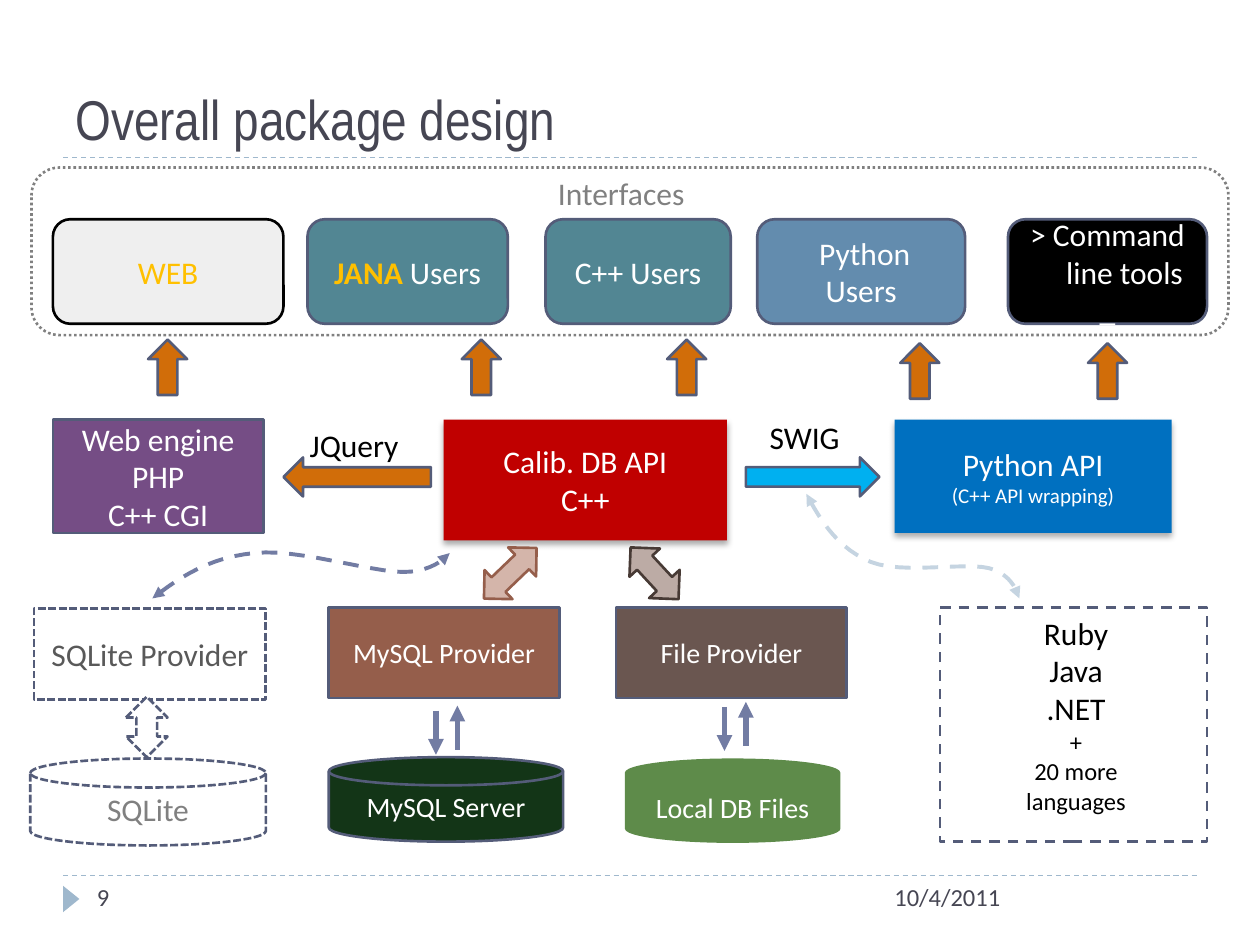
from dataclasses import dataclass
from typing import NamedTuple, Optional

from lxml import etree
from pptx import Presentation, util as u
from pptx.dml.color import RGBColor
from pptx.enum import dml, shapes, text
from pptx.oxml.ns import qn

# Grid: 100 columns by 75 rows of square cells
W, H = u.Inches(10), u.Inches(7.5)
COL, ROW = W / 100, H / 75

WHITE = RGBColor(0xFF, 0xFF, 0xFF)
BLACK = RGBColor(0, 0, 0)
INK = RGBColor(0x46, 0x46, 0x53)
GRAY = RGBColor(0x80, 0x80, 0x80)
DARK_GRAY = RGBColor(0x59, 0x59, 0x59)
PALE = RGBColor(0xEF, 0xEF, 0xEF)
EDGE = RGBColor(0x54, 0x5C, 0x79)
ACCENT = RGBColor(0x9F, 0xB8, 0xCD)
FLOW = RGBColor(0x72, 0x7C, 0xA3)
PALE_FLOW = RGBColor(0xC5, 0xD4, 0xE1)
GOLD = RGBColor(0xFF, 0xC0, 0x00)
TEAL = RGBColor(0x52, 0x86, 0x93)
STEEL = RGBColor(0x63, 0x8C, 0xAE)
BLUE = RGBColor(0x00, 0x70, 0xC0)
SKY = RGBColor(0x00, 0xB0, 0xF0)
PURPLE = RGBColor(0x75, 0x4D, 0x85)
RED = RGBColor(0xC0, 0, 0)
ORANGE = RGBColor(0xD1, 0x6D, 0x09)
BROWN = RGBColor(0x95, 0x5E, 0x4B)
UMBER = RGBColor(0x6A, 0x56, 0x50)
PALE_BROWN = RGBColor(0xD4, 0xB5, 0xAA)
PALE_UMBER = RGBColor(0xBC, 0xAB, 0xA5)
DARK_UMBER = RGBColor(0x47, 0x3A, 0x35)
FOREST = RGBColor(0x13, 0x35, 0x17)
GREEN = RGBColor(0x5E, 0x8B, 0x4A)

S, D = shapes.MSO_SHAPE, dml.MSO_LINE
LEFT, CENTER = text.PP_ALIGN.LEFT, text.PP_ALIGN.CENTER
TOP, MIDDLE, BOTTOM = (text.MSO_ANCHOR.TOP, text.MSO_ANCHOR.MIDDLE,
                       text.MSO_ANCHOR.BOTTOM)


class Run(NamedTuple):
    text: str
    color: RGBColor = WHITE
    size: float = 18
    bold: bool = False
    font: str = "Calibri"
    indent: float = 0  # columns, taken from the first run of a line


@dataclass
class Block:
    kind: S
    x: float
    y: float
    w: float
    h: float
    fill: Optional[RGBColor] = None
    line: Optional[RGBColor] = EDGE
    lines: tuple = ()  # each line is a tuple of runs
    dash: Optional[D] = None
    rot: float = 0
    shadow: bool = False


def one(*args, **kw) -> tuple:
    """A single line holding a single run."""
    return ((Run(*args, **kw),),)


def stack(size: float, color: RGBColor, *words: str) -> tuple:
    return tuple((Run(word, color, size),) for word in words)


def write(tf, lines: tuple, align, anchor) -> None:
    tf.vertical_anchor = anchor
    for i, line in enumerate(lines):
        p = tf.paragraphs[0] if i == 0 else tf.add_paragraph()
        p.alignment = align
        if line[0].indent:
            p._p.get_or_add_pPr().set("marL", str(round(line[0].indent * COL)))
        for run in line:
            r = p.add_run()
            r.text = run.text
            r.font.name, r.font.size, r.font.bold = run.font, u.Pt(run.size), run.bold
            r.font.color.rgb = run.color


def place(x: float, y: float, w: float, h: float) -> list[int]:
    return [round(v) for v in (x * COL, y * ROW, w * COL, h * ROW)]


def stroke(line, color: RGBColor, width: float, dash=None, heads=()) -> None:
    line.color.rgb, line.width = color, u.Pt(width)
    if dash is not None:
        line.dash_style = dash
    for end in heads:
        etree.SubElement(line._get_or_add_ln(), qn("a:" + end), type="triangle")


def draw_block(s, b: Block) -> None:
    sp = s.shapes.add_shape(b.kind, *place(b.x, b.y, b.w, b.h))
    sp.rotation = b.rot
    sp.shadow.inherit = False
    if b.shadow:
        effects = sp._element.spPr.find(qn("a:effectLst"))
        shade = etree.SubElement(effects, qn("a:outerShdw"), blurRad=str(u.Pt(3.5)),
                                 dist=str(u.Pt(2.2)), dir="5400000", rotWithShape="0")
        clr = etree.SubElement(shade, qn("a:srgbClr"), val="000000")
        etree.SubElement(clr, qn("a:alpha"), val="32000")
    if b.fill is None:
        sp.fill.background()
    else:
        sp.fill.solid()
        sp.fill.fore_color.rgb = b.fill
    if b.line is None:
        sp.line.fill.background()
    else:
        stroke(sp.line, b.line, 1.5, b.dash)
    write(sp.text_frame, b.lines, CENTER, MIDDLE)


def draw_label(s, x, y, w, h, lines, align=LEFT, anchor=TOP, wrap=True) -> None:
    tf = s.shapes.add_textbox(*place(x, y, w, h)).text_frame
    tf.word_wrap = wrap
    write(tf, lines, align, anchor)


def draw_line(s, x1, y1, x2, y2, color, width, dash=None, heads=()) -> None:
    cx = s.shapes.add_connector(shapes.MSO_CONNECTOR.STRAIGHT,
                                *place(x1, y1, x2, y2))
    stroke(cx.line, color, width, dash, heads)
    etree.SubElement(cx._element.spPr, qn("a:effectLst"))


def draw_curve(s, knots: list, color: RGBColor, steps: int = 12) -> None:
    """Chain of cubic curves: a start point, then three points per curve."""
    points = []
    for k in range(0, len(knots) - 1, 3):
        for i in range(1, steps + 1):
            t = i / steps
            weights = ((1 - t) ** 3, 3 * t * (1 - t) ** 2, 3 * t * t * (1 - t), t ** 3)
            points.append(tuple(
                sum(wt * pt[axis] for wt, pt in zip(weights, knots[k:k + 4])) * unit
                for axis, unit in ((0, COL), (1, ROW))))
    fb = s.shapes.build_freeform(knots[0][0] * COL, knots[0][1] * ROW)
    fb.add_line_segments(points, close=False)
    sp = fb.convert_to_shape()
    sp.shadow.inherit = False
    sp.fill.background()
    stroke(sp.line, color, 2.25, D.DASH, ("headEnd", "tailEnd"))


def main() -> None:
    prs = Presentation()
    prs.slide_width, prs.slide_height = W, H
    s = prs.slides.add_slide(prs.slide_layouts[6])

    # Title, rules and footer
    for y in (69.5, 12.5):
        draw_line(s, 5, y, 95, y, ACCENT, 0.75, D.DASH)
    draw_block(s, Block(S.ISOSCELES_TRIANGLE, 4.6, 70.7, 2.1, 1.3, ACCENT, None, rot=90))
    draw_label(s, 5, 1.7, 90, 10.8,
               one("Overall package design", INK, 32, font="Arial Narrow"), anchor=BOTTOM)
    draw_label(s, 70, 69.5, 25, 4, one("10/4/2011", INK, 14))
    draw_label(s, 6.7, 69.5, 21.7, 4, one("9", INK, 14))

    # Interfaces
    draw_block(s, Block(S.ROUNDED_RECTANGLE, 2.5, 13.3, 95, 13.3, None, GRAY,
                        dash=D.ROUND_DOT))
    draw_label(s, 43.3, 13.3, 12.2, 4, one("Interfaces", GRAY), wrap=False)
    command = ((Run("> Command"),), (Run("line tools", indent=2.7),), (Run("_"),))
    for x, w, fill, line, lines in (
            (4.2, 18.3, PALE, BLACK, one("WEB", GOLD)),
            (24.4, 15.9, TEAL, EDGE, ((Run("JANA", GOLD, bold=True), Run(" Users")),)),
            (43.3, 14.7, TEAL, EDGE, one("C++ Users")),
            (60.1, 16.5, STEEL, EDGE, one(" Python Users")),
            (80, 15.8, BLACK, EDGE, command)):
        draw_block(s, Block(S.ROUNDED_RECTANGLE, x, 17.4, w, 8.3, fill, line, lines))
    for x, y in ((11.1, 27.6), (36, 27.6), (52.3, 27.6), (70.8, 27.9), (85.7, 27.9)):
        draw_block(s, Block(S.RIGHT_ARROW, x, y, 4.4, 3.1, ORANGE, rot=270))

    # Engines and APIs
    blocks = [
        Block(S.RECTANGLE, 4.2, 33.3, 16.7, 9, PURPLE,
              lines=stack(18, WHITE, "Web engine", "PHP", "C++ CGI")),
        Block(S.RECTANGLE, 35.2, 33.3, 22.5, 9.6, RED, None,
              stack(18, WHITE, "Calib. DB API", "C++"), shadow=True),
        Block(S.RECTANGLE, 71, 33.3, 22, 9, BLUE, None,
              one("Python API") + one("(C++ API wrapping)", size=12), shadow=True),
        Block(S.RIGHT_ARROW, 22.5, 36.3, 11.7, 3.1, ORANGE, rot=180),
        Block(S.RIGHT_ARROW, 59.2, 36.3, 10.6, 3.1, SKY),
        # Providers and their storage
        Block(S.RECTANGLE, 2.7, 48.3, 18.4, 7.2, WHITE,
              lines=one("SQLite Provider", DARK_GRAY), dash=D.SQUARE_DOT),
        Block(S.FLOWCHART_MAGNETIC_DISK, 2.4, 60.2, 18.7, 6.9, WHITE,
              lines=one("SQLite", GRAY), dash=D.SQUARE_DOT),
        Block(S.UP_DOWN_ARROW, 10, 55.3, 3.3, 4.8, WHITE, dash=D.SQUARE_DOT),
        Block(S.RECTANGLE, 26.1, 48.2, 18.3, 7.2, BROWN, lines=one("MySQL Provider", size=16)),
        Block(S.RECTANGLE, 48.9, 48.2, 18.3, 7.2, UMBER, lines=one("File Provider", size=16)),
        Block(S.FLOWCHART_MAGNETIC_DISK, 26.1, 60.1, 18.6, 6.7, FOREST,
              lines=one("MySQL Server", size=16)),
        Block(S.FLOWCHART_MAGNETIC_DISK, 49.6, 60.2, 17.1, 6.7, GREEN, None,
              one("Local DB Files", size=16)),
        Block(S.UP_DOWN_ARROW, 38.9, 42.6, 3.2, 5.8, PALE_BROWN, BROWN, rot=46.1),
        Block(S.UP_DOWN_ARROW, 50.3, 42.7, 3.3, 5.6, PALE_UMBER, DARK_UMBER, rot=317.2),
        # Further languages
        Block(S.RECTANGLE, 74.6, 48.2, 21.2, 18.6, WHITE, dash=D.DASH),
    ]
    for b in blocks:
        draw_block(s, b)
    draw_label(s, 60.1, 32.7, 7.6, 4, one("SWIG", BLACK), wrap=False)
    draw_label(s, 23.6, 33.3, 9.1, 4, one("JQuery", BLACK))
    draw_label(s, 75.8, 48.2, 19.2, 20.2,
               stack(18, BLACK, "Ruby", "Java", ".NET")
               + stack(14, BLACK, "+", "20 more", "languages"), CENTER)

    # Read and write arrows between provider and storage
    for x, y in ((34.6, 56.4), (57.5, 56.1)):
        draw_line(s, x, y, x, y + 3.5, FLOW, 3, heads=("tailEnd",))
        draw_line(s, x + 1.7, y - 0.4, x + 1.7, y + 3.1, FLOW, 3, heads=("headEnd",))

    # Optional links
    draw_curve(s, [(12.1, 47.5), (14.5, 45.6), (16.9, 44.2), (20.2, 43.9), (23.5, 43.5),
                   (29.4, 45.4), (32, 45.4), (34.6, 45.4), (35.7, 43.9), (35.7, 43.9)], FLOW)
    draw_curve(s, [(64, 39.2), (65.3, 41.7), (66.7, 43.6), (69.1, 44.6), (71.6, 45.6),
                   (76.6, 44.6), (78.5, 45.1), (80.5, 45.6), (80.9, 47.5), (80.9, 47.5)],
               PALE_FLOW)

    prs.save("out.pptx")


if __name__ == "__main__":
    main()
